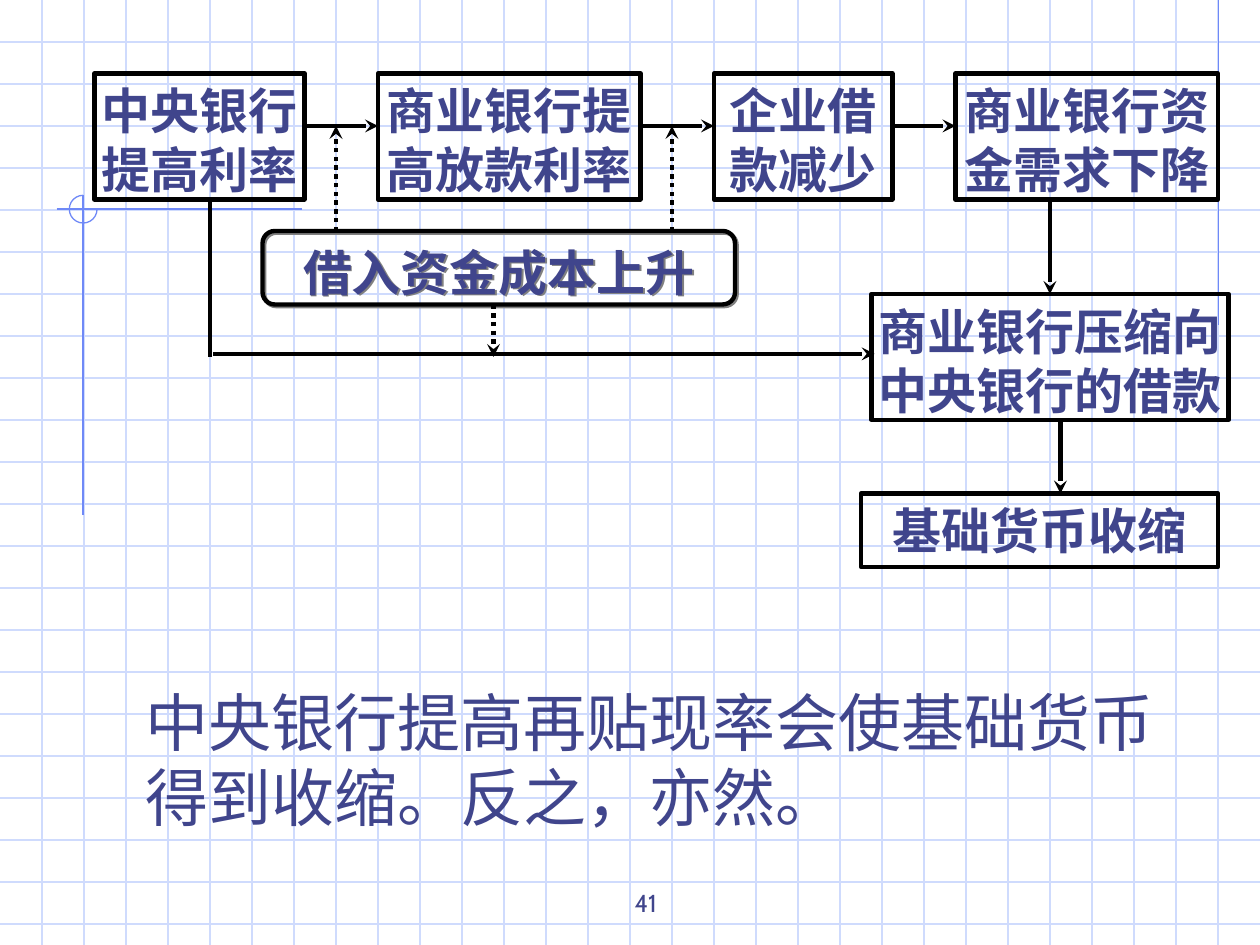
import pptx
import pptx.util
import pptx.dml.color
import pptx.enum.dml
import pptx.enum.shapes
import pptx.enum.text
import pptx.oxml
import pptx.oxml.ns

INK = "40458C"
GRID_COLOR = "CFDBFD"
ACCENT = "6F89F7"
BLACK = "000000"
CELL = 1 / 3
HALF = CELL / 4  # diagram unit: a quarter of a grid cell
WIDTH, HEIGHT = 10, 7.5
HAIRLINE, BOLD_LINE = 0.75, 2.5
EAST_ASIAN = "Noto Sans CJK SC"

presentation = pptx.Presentation()
presentation.slide_width = pptx.util.Inches(WIDTH)
presentation.slide_height = pptx.util.Inches(HEIGHT)
slide = presentation.slides.add_slide(presentation.slide_layouts[6])


def color(value):
    return pptx.dml.color.RGBColor.from_string(value)


def inches(*lengths):
    return [pptx.util.Inches(length) for length in lengths]


def add_xml(parent, name, **attributes):
    element = pptx.oxml.parse_xml(f"<a:{name} {pptx.oxml.ns.nsdecls('a')}/>")
    for key, value in attributes.items():
        element.set(key, str(value))
    parent.append(element)
    return element


def set_line(shape, value, width):
    shape.line.color.rgb = color(value)
    shape.line.width = pptx.util.Pt(width)


def add_line(start, end, value=BLACK, width=BOLD_LINE, arrow=False, dotted=False):
    connector = slide.shapes.add_connector(
        pptx.enum.shapes.MSO_CONNECTOR.STRAIGHT, *inches(*start, *end))
    set_line(connector, value, width)
    if dotted:
        connector.line.dash_style = pptx.enum.dml.MSO_LINE.ROUND_DOT
    if arrow:
        add_xml(connector.line._get_or_add_ln(), "tailEnd", type="stealth")
    add_xml(connector._element.spPr, "effectLst")


def write_text(shape, paragraphs, size, font, bold=False, align="CENTER", anchor="TOP",
               insets=(0.1, 0.05, 0.1, 0.05), spacing=None, indent=(0, 0)):
    frame = shape.text_frame
    frame.word_wrap = True
    frame.vertical_anchor = getattr(pptx.enum.text.MSO_ANCHOR, anchor)
    (frame.margin_left, frame.margin_top,
     frame.margin_right, frame.margin_bottom) = inches(*insets)
    for index, text in enumerate(paragraphs):
        paragraph = frame.add_paragraph() if index else frame.paragraphs[0]
        paragraph.alignment = getattr(pptx.enum.text.PP_ALIGN, align)
        if spacing:
            paragraph.line_spacing = pptx.util.Pt(spacing)
        margin, first_line = inches(*indent)
        properties = paragraph._p.get_or_add_pPr()
        properties.set("marL", str(margin))
        properties.set("indent", str(first_line))
        run = paragraph.add_run()
        run.text = text
        run.font.size = pptx.util.Pt(size)
        run.font.bold = bold
        run.font.name = font
        run.font.color.rgb = color(INK)
        add_xml(run._r.get_or_add_rPr(), "ea", typeface=EAST_ASIAN)


def add_box(box, paragraphs, rounded=False):
    kind = "ROUNDED_RECTANGLE" if rounded else "RECTANGLE"
    shape = slide.shapes.add_shape(
        getattr(pptx.enum.shapes.MSO_SHAPE, kind), *inches(*box))
    shape.shadow.inherit = False
    shape.fill.background()
    set_line(shape, BLACK, BOLD_LINE)
    if rounded:
        effects = shape._element.spPr.find(pptx.oxml.ns.qn("a:effectLst"))
        shadow = add_xml(effects, "outerShdw", dist=pptx.util.Pt(1.4),
                         dir=45 * 60000, algn="ctr", rotWithShape=0)
        add_xml(shadow, "srgbClr", val="808080")
    write_text(shape, paragraphs, 28, "Times New Roman", bold=True,
               insets=(0.01, 0.06, 0.01, 0.01), spacing=33.6)


def draw_background(left, top, width, height):
    # Squared paper
    for row in range(1, int(height / CELL) + 1):
        y = top + row * CELL
        if y < top + height - 0.01:
            add_line((left, y), (left + width, y), GRID_COLOR, HAIRLINE)
    for column in range(1, round(width / CELL)):
        x = left + column * CELL
        add_line((x, top), (x, top + height), GRID_COLOR, HAIRLINE)
    # Accent lines and open circle
    center_x, center_y, radius = left + 0.66, top + 1.66, 0.11
    add_line((left + 9.67, top), (left + 9.67, top + 2.58), ACCENT, HAIRLINE)
    add_line((left + 0.45, center_y), (left + 2.4, center_y), ACCENT, HAIRLINE)
    add_line((center_x, center_y - radius), (center_x, top + 4.09), ACCENT, HAIRLINE)
    circle = slide.shapes.add_shape(
        pptx.enum.shapes.MSO_SHAPE.ARC,
        *inches(center_x - radius, center_y - radius, 2 * radius, 2 * radius))
    circle.adjustments[0] = 0
    circle.adjustments[1] = 162  # 270 degrees
    circle.shadow.inherit = False
    circle.fill.background()
    set_line(circle, ACCENT, HAIRLINE)


def draw_flow(left, top):
    def place(column, row):
        return left + column * HALF, top + row * HALF

    # Boxes: column, row, columns, rows, text
    for column, row, columns, rows, paragraphs in (
            (0, 0, 20, 12, ["中央银行提高利率"]),
            (27, 0, 25, 12, ["商业银行提", "高放款利率"]),
            (59, 0, 17, 12, ["企业借", "款减少"]),
            (82, 0, 25, 12, ["商业银行资", "金需求下降"]),
            (74, 21, 34, 12, ["商业银行压缩向", "中央银行的借款"]),
            (73, 40, 34, 7, ["基础货币收缩"])):
        add_box((*place(column, row), columns * HALF, rows * HALF), paragraphs)
    add_box((*place(16, 15), 45 * HALF, 7 * HALF), ["借入资金成本上升"], rounded=True)

    # Solid arrows
    for start, end in (((20, 5), (27, 5)), ((52, 5), (59, 5)), ((76, 5), (82, 5)),
                       ((91, 12), (91, 21)), ((92, 33), (92, 40)),
                       ((11.3, 26.7), (74.3, 26.7))):
        add_line(place(*start), place(*end), arrow=True)
    add_line(place(11, 12), place(11, 27))

    # Dotted arrows from the cost box
    for start, end in (((23, 15), (23, 5)), ((55, 15), (55, 5)), ((38, 22), (38, 27))):
        add_line(place(*start), place(*end), arrow=True, dotted=True)


def draw_text(box, paragraphs, size, **text_format):
    shape = slide.shapes.add_textbox(*inches(*box))
    write_text(shape, paragraphs, size, "Cabin", **text_format)


draw_background(0, 0, WIDTH, HEIGHT)
draw_flow(0.75, 7 * HALF)
# Conclusion
draw_text((1.06, 5.32, 8.5, 1.35),
          ["中央银行提高再贴现率会使基础货币", "得到收缩。反之，亦然。"], 36,
          align="JUSTIFY", insets=(0.1, 0.11, 0.1, 0.05), spacing=42.9,
          indent=(0.67, -0.67))
# Page number
draw_text((3.42, 6.83, 3.17, 0.5), ["41"], 14, anchor="BOTTOM", indent=(0.24, 0))

presentation.save("out.pptx")
